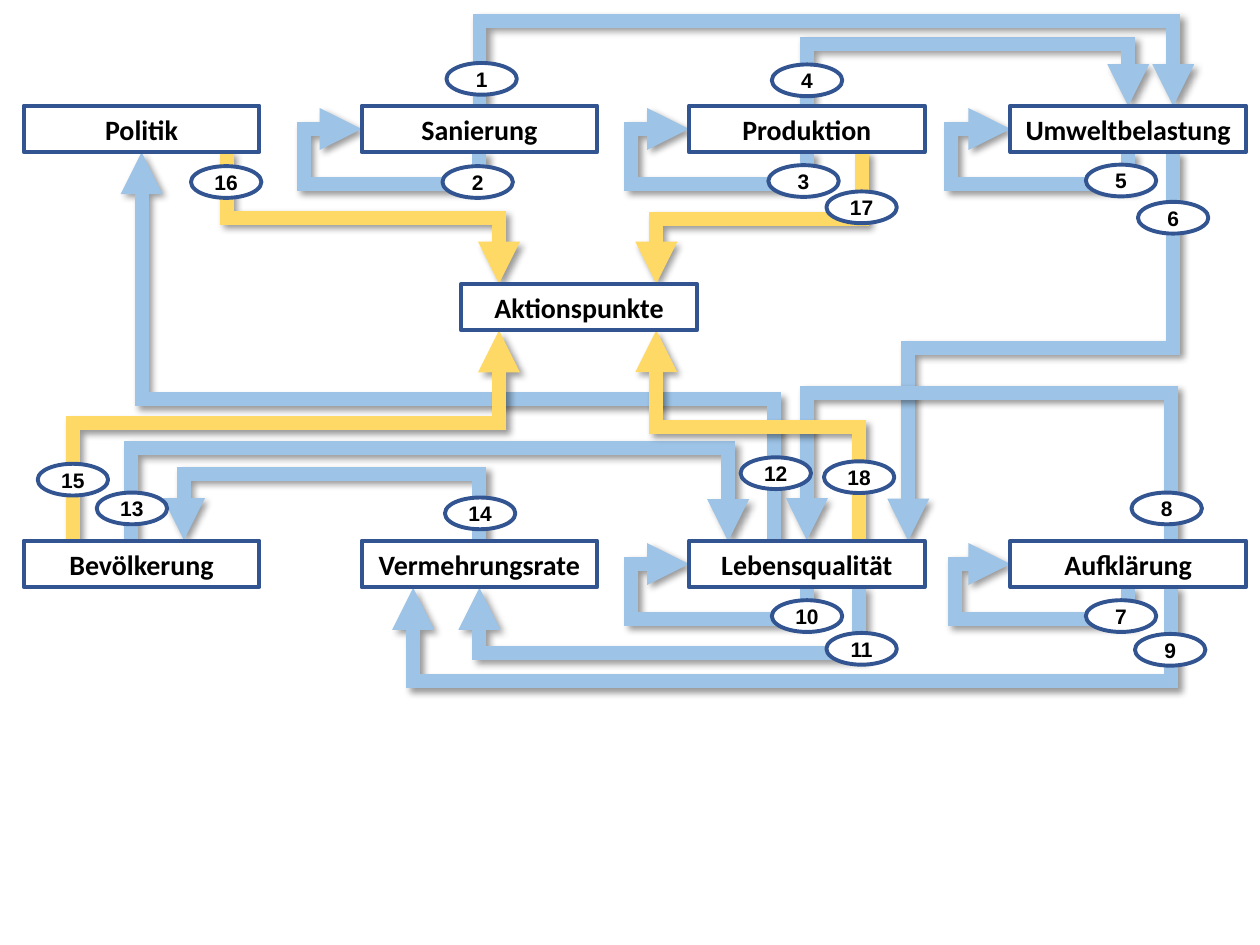
from lxml.etree import SubElement
from pptx import Presentation
from pptx.dml.color import RGBColor
from pptx.enum.shapes import MSO_CONNECTOR, MSO_SHAPE
from pptx.enum.text import MSO_ANCHOR, PP_ALIGN
from pptx.oxml.ns import qn
from pptx.util import Cm, Pt

BLUE, YELLOW, NAVY, PORT_BLUE = "9DC3E6", "FFD966", "325491", "4472C4"
WHITE, BLACK = "FFFFFF", "000000"
TOP, LEFT, BOTTOM = 0, 1, 2
BOX_WIDTH, BOX_HEIGHT, PORT_WIDTH = 4.75, 0.94, 0.69
BADGE_WIDTH, BADGE_HEIGHT = 1.42, 0.64
LOOP_DEPTH = 0.64
COLUMNS = (0.48, 7.29, 13.89, 20.37)
ROWS = (
    (2.13, ("Politik", "Sanierung", "Produktion", "Umweltbelastung")),
    (10.9, ("Bevölkerung", "Vermehrungsrate", "Lebensqualität", "Aufklärung")),
)
BOXES = {name: (left, top) for top, names in ROWS for left, name in zip(COLUMNS, names)}
BOXES["Aktionspunkte"] = (9.3, 5.72)

LOOPS = (
    ("Sanierung", 6.12), ("Produktion", 12.73), ("Umweltbelastung", 19.18),
    ("Aufklärung", 19.25), ("Lebensqualität", 12.73),
)
ROUTES = (
    (("Produktion", None, TOP), 0.89, ("Umweltbelastung", None, TOP), BLUE),
    (("Sanierung", None, TOP), 0.43, ("Umweltbelastung", 23.65, TOP), BLUE),
    (("Politik", 4.57, BOTTOM), 4.39, ("Aktionspunkte", 10.06, TOP), YELLOW),
    (("Produktion", 17.37, BOTTOM), 4.42, ("Aktionspunkte", 13.23, TOP), YELLOW),
    (("Lebensqualität", 15.6, TOP), 8.05, ("Politik", None, BOTTOM), BLUE),
    (("Vermehrungsrate", None, TOP), 9.55, ("Bevölkerung", 3.71, TOP), BLUE),
    (("Aufklärung", 23.6, BOTTOM), 13.74, ("Vermehrungsrate", 8.33, BOTTOM), BLUE),
    (("Lebensqualität", 17.32, BOTTOM), 13.18, ("Vermehrungsrate", None, BOTTOM), BLUE),
    (("Umweltbelastung", 23.65, BOTTOM), 7.01, ("Lebensqualität", 18.31, TOP), BLUE),
    (("Bevölkerung", 2.64, TOP), 9.04, ("Lebensqualität", 14.68, TOP), BLUE),
    (("Aufklärung", 23.6, TOP), 7.92, ("Lebensqualität", None, TOP), BLUE),
    (("Bevölkerung", 1.47, TOP), 8.53, ("Aktionspunkte", 10.06, BOTTOM), YELLOW),
    (("Lebensqualität", 17.32, TOP), 8.61, ("Aktionspunkte", 13.23, BOTTOM), YELLOW),
)
BADGE_CENTRES = (
    (9.71, 1.59), (9.63, 3.67), (16.2, 3.65), (16.27, 1.62), (22.6, 3.64), (23.65, 4.39),
    (22.6, 12.42), (23.52, 10.25), (23.59, 13.1), (16.27, 12.42), (17.37, 13.08),
    (15.64, 9.54), (2.66, 10.25), (9.68, 10.35), (1.47, 9.67), (4.56, 3.67),
    (17.37, 4.18), (17.32, 9.62),
)


def colour(value):
    return RGBColor.from_string(value)


def add_block(shapes, kind, left, top, width, height, fill=WHITE, line=2.25):
    shape = shapes.add_shape(kind, Cm(left), Cm(top), Cm(width), Cm(height))
    shape.shadow.inherit = False
    shape.fill.solid()
    shape.fill.fore_color.rgb = colour(fill)
    shape.line.color.rgb = colour(NAVY)
    shape.line.width = Pt(line)
    return shape


def write_label(shape, text, font_name, size):
    frame = shape.text_frame
    frame.margin_left = frame.margin_right = frame.margin_top = frame.margin_bottom = 0
    frame.vertical_anchor = MSO_ANCHOR.MIDDLE
    paragraph = frame.paragraphs[0]
    paragraph.text = text
    paragraph.alignment = PP_ALIGN.CENTER
    font = paragraph.font
    font.name, font.size, font.bold = font_name, Pt(size), True
    font.color.rgb = colour(BLACK)


def add_arrow(shapes, start, end, line_colour):
    connector = shapes.add_connector(MSO_CONNECTOR.ELBOW, 0, 0, 0, 0)
    connector.begin_connect(*start)
    connector.end_connect(*end)
    connector.line.color.rgb = colour(line_colour)
    connector.line.width = Pt(8)
    line = connector.line._get_or_add_ln()
    SubElement(line, qn("a:miter"), lim="800000")
    SubElement(line, qn("a:tailEnd"), type="triangle")
    effects = SubElement(connector._element.spPr, qn("a:effectLst"))
    shadow = SubElement(effects, qn("a:outerShdw"), blurRad=str(Pt(4)), dist=str(Pt(3)),
                        dir="2700000", algn="tl", rotWithShape="0")
    shadow_colour = SubElement(shadow, qn("a:srgbClr"), val=BLACK)
    SubElement(shadow_colour, qn("a:alpha"), val="40000")
    return connector


def bend(connector, kind, degrees, flips, length, adjustments):
    x1, y1 = connector.begin_x, connector.begin_y
    x2, y2 = connector.end_x, connector.end_y
    breadth = abs(x2 - x1)
    transform = connector._element.spPr.find(qn("a:xfrm"))
    for name in ("flipH", "flipV"):
        transform.set(name, str(int(name in flips)))
    transform.set("rot", str(degrees * 60000))
    connector.left, connector.top = (x1 + x2 - length) // 2, (y1 + y2 - breadth) // 2
    connector.width, connector.height = length, breadth
    geometry = connector._element.spPr.find(qn("a:prstGeom"))
    geometry.set("prst", kind)
    guides = geometry.find(qn("a:avLst"))
    for number, value in enumerate(adjustments, 1):
        SubElement(guides, qn("a:gd"), name=f"adj{number}", fmla=f"val {round(value * 100000)}")


def add_loop(shapes, box, lane):
    connector = add_arrow(shapes, (box, BOTTOM), (box, LEFT), BLUE)
    length = connector.begin_y - connector.end_y
    breadth = connector.begin_x - connector.end_x
    adjustments = (-Cm(LOOP_DEPTH) / length, (connector.begin_x - Cm(lane)) / breadth)
    bend(connector, "bentConnector4", 90, ("flipH",), length, adjustments)


def add_route(shapes, start, lane, end, line_colour):
    connector = add_arrow(shapes, start, end, line_colour)
    leftward = connector.end_x < connector.begin_x
    rise = Cm(lane) - connector.begin_y
    drop = connector.end_y - connector.begin_y
    if abs(drop) < Cm(0.02):
        drop = Cm(0.02) * (-1 if leftward and rise < 0 else 1)
    if leftward and drop > 0:
        degrees, flips = 90, ()
    else:
        degrees = 270
        flips = (("flipH",) if drop > 0 else ()) + (("flipV",) if leftward else ())
    bend(connector, "bentConnector3", degrees, flips, abs(drop), (rise / drop,))


def main():
    presentation = Presentation()
    presentation.slide_width, presentation.slide_height = Cm(25.4), Cm(19.05)
    shapes = presentation.slides.add_slide(presentation.slide_layouts[6]).shapes

    ports = {}
    for start, _, end, _ in ROUTES:
        for name, x, _ in (start, end):
            if x is not None and (name, x) not in ports:
                ports[name, x] = add_block(shapes, MSO_SHAPE.RECTANGLE, x - PORT_WIDTH / 2,
                                           BOXES[name][1], PORT_WIDTH, BOX_HEIGHT, PORT_BLUE, 1)
    for name, (left, top) in BOXES.items():
        box = add_block(shapes, MSO_SHAPE.RECTANGLE, left, top, BOX_WIDTH, BOX_HEIGHT)
        write_label(box, name, "Calibri", 16)
        ports[name, None] = box

    for name, lane in LOOPS:
        add_loop(shapes, ports[name, None], lane)
    for start, lane, end, line_colour in ROUTES:
        (name1, x1, side1), (name2, x2, side2) = start, end
        add_route(shapes, (ports[name1, x1], side1), lane, (ports[name2, x2], side2), line_colour)

    for name in BOXES:
        element = ports[name, None]._element
        element.getparent().append(element)
    for number, (x, y) in enumerate(BADGE_CENTRES, 1):
        badge = add_block(shapes, MSO_SHAPE.OVAL, x - BADGE_WIDTH / 2, y - BADGE_HEIGHT / 2,
                          BADGE_WIDTH, BADGE_HEIGHT)
        write_label(badge, str(number), "Arial", 12)
    presentation.save("out.pptx")


if __name__ == "__main__":
    main()
